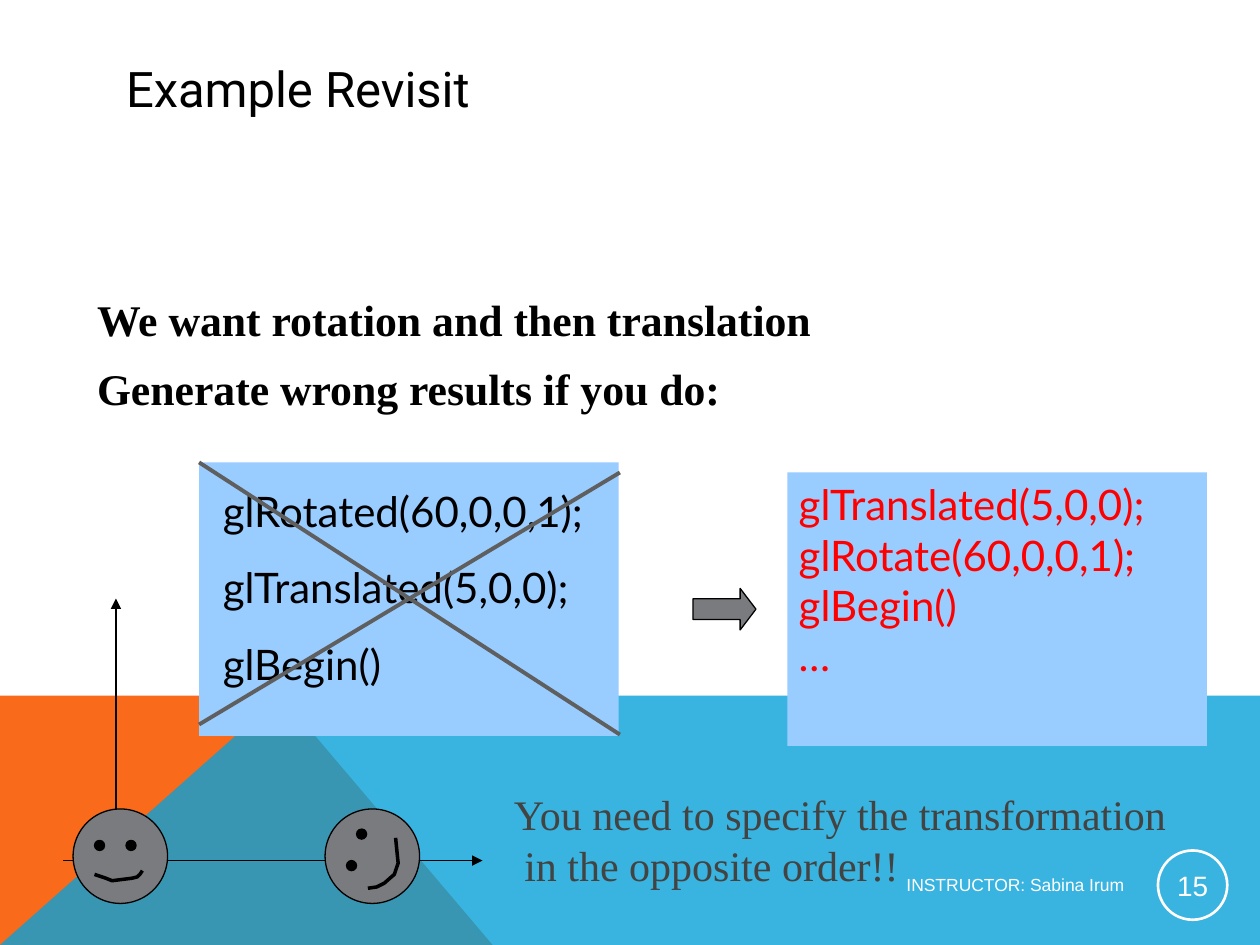
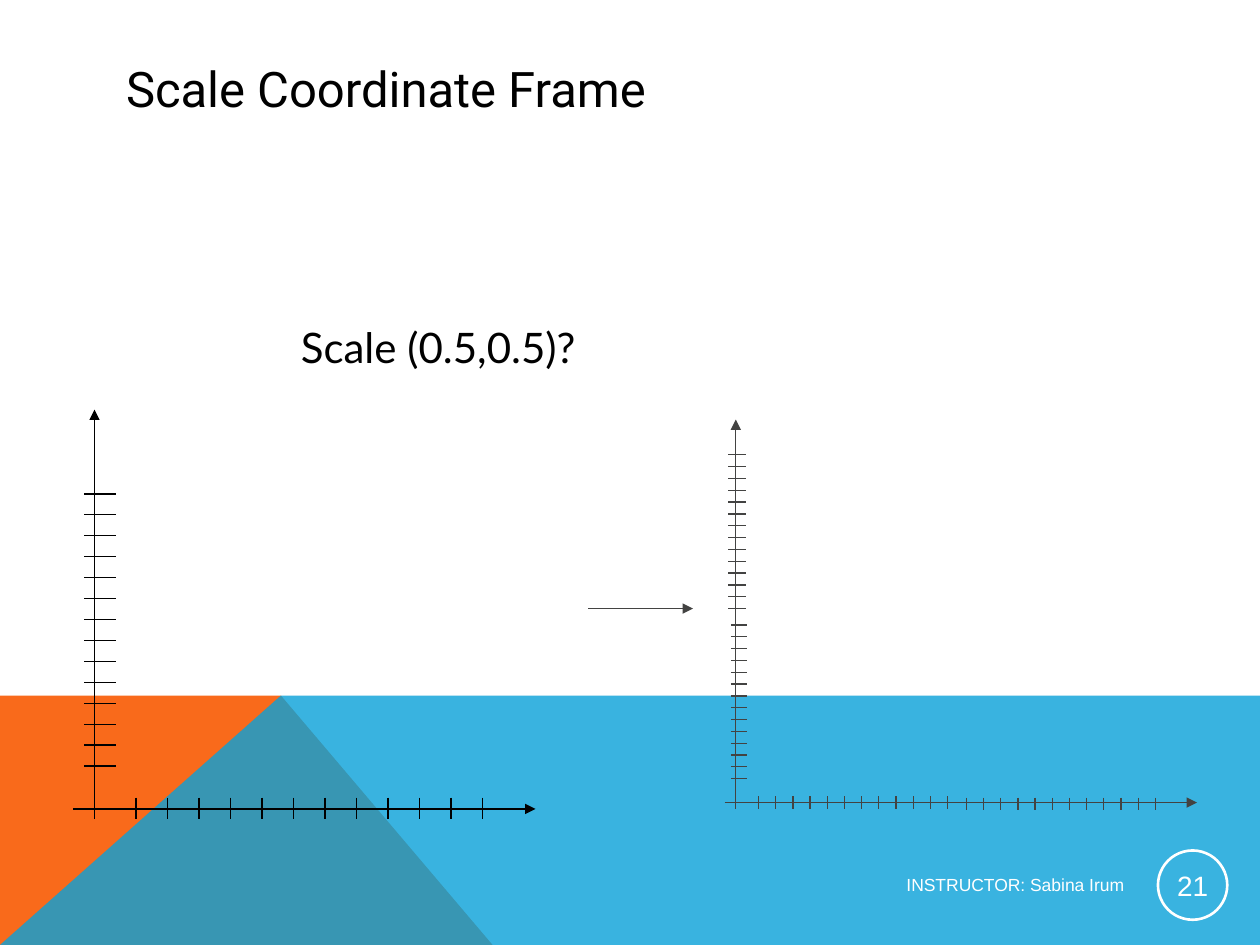
from dataclasses import dataclass
from typing import Any, NamedTuple

from pptx import Presentation
from pptx.dml.color import RGBColor
from pptx.enum.shapes import MSO_CONNECTOR, MSO_SHAPE
from pptx.enum.text import MSO_ANCHOR, MSO_AUTO_SIZE, PP_ALIGN
from pptx.oxml.ns import qn
from pptx.util import Inches, Pt

OVAL, RECT, ARROW = MSO_SHAPE.OVAL, MSO_SHAPE.RECTANGLE, MSO_SHAPE.RIGHT_ARROW
STRAIGHT = MSO_CONNECTOR.STRAIGHT
TOP, MIDDLE = MSO_ANCHOR.TOP, MSO_ANCHOR.MIDDLE
LEFT, CENTER, RIGHT = PP_ALIGN.LEFT, PP_ALIGN.CENTER, PP_ALIGN.RIGHT
FIXED, GROW = MSO_AUTO_SIZE.NONE, MSO_AUTO_SIZE.SHAPE_TO_FIT_TEXT

Point = tuple[float, float]


@dataclass(frozen=True)
class Theme:
    black: str = "000000"
    white: str = "FFFFFF"
    orange: str = "F96A1B"
    blue: str = "08A1D9"
    pale: str = "99CCFF"
    gray: str = "797B7E"
    cross: str = "5F5F5F"
    dark: str = "434342"
    red: str = "FF0000"
    head: str = "Roboto"
    code: str = "Lato"
    serif: str = "Times New Roman"
    sans: str = "Arial"
    title: float = 28
    body: float = 25
    text: float = 24
    number: float = 16
    foot: float = 10
    thin: float = 0.75
    ring: float = 1.5
    smile: float = 2
    thick: float = 2.25


THEME = Theme()


class Box(NamedTuple):
    left: float
    top: float
    width: float
    height: float

    def emu(self) -> list[int]:
        return [Inches(side) for side in self]


class Style(NamedTuple):
    font: str
    size: float
    color: str
    bold: bool = False
    align: Any = LEFT
    before: float = 0
    line: float = 1


class Ticks(NamedTuple):
    """Evenly spaced marks from first to last, each spanning low to high."""
    count: int
    first: float
    last: float
    low: float
    high: float
    level: bool = False


class Frame(NamedTuple):
    color: str
    axes: list[tuple[Point, Point]]
    ticks: list[Ticks]


class Face(NamedTuple):
    left: float
    eyes: list[Point]
    mouth: list[Point]


TITLE = Style(THEME.head, THEME.title, THEME.black)
BODY = Style(THEME.serif, THEME.body, THEME.black, True, before=8, line=1.05)
CODE = Style(THEME.code, THEME.text, THEME.black)
WRONG = CODE._replace(before=15)
FIXED_CODE = CODE._replace(color=THEME.red)
NOTE = Style(THEME.serif, THEME.text, THEME.dark)
FOOT = Style(THEME.sans, THEME.foot, THEME.white, align=RIGHT)
NUMBER = Style(THEME.sans, THEME.number, THEME.white, align=CENTER)

FACES = [
    Face(0.58, [(0.75, 6.67), (1, 6.67)],
         [(0.75, 6.94), (0.84, 6.97), (0.89, 6.99), (1.05, 6.97),
          (1.09, 6.96), (1.11, 6.94), (1.13, 6.91)]),
    Face(2.58, [(2.75, 6.83), (2.83, 6.58)],
         [(3.14, 6.65), (3.15, 6.75), (3.16, 6.85), (3.13, 6.94),
          (3.05, 7.01), (2.99, 7.04), (2.92, 7.05)]),
]
FRAMES = [
    Frame(THEME.black,
          [((0.75, 6.5), (0.75, 3.25)), ((0.58, 6.42), (4.25, 6.42))],
          [Ticks(12, 1.08, 3.83, 6.33, 6.5),
           Ticks(14, 6.08, 3.92, 0.67, 0.92, True)]),
    Frame(THEME.dark,
          [((5.84, 6.42), (5.84, 3.33)), ((5.75, 6.37), (9.5, 6.37))],
          [Ticks(12, 6.02, 7.52, 6.32, 6.42),
           Ticks(12, 7.67, 9.17, 6.33, 6.43),
           Ticks(14, 6.18, 4.96, 5.8, 5.93, True),
           Ticks(14, 4.83, 3.61, 5.78, 5.92, True)]),
]


def assign(target: Any, **values: Any) -> None:
    for name, value in values.items():
        setattr(target, name, value)


def paint(shape: Any, fill: str | None, line: str | None,
          width: float = THEME.thin) -> None:
    shape.shadow.inherit = False
    if fill:
        shape.fill.solid()
        shape.fill.fore_color.rgb = RGBColor.from_string(fill)
    else:
        shape.fill.background()
    if line:
        shape.line.color.rgb = RGBColor.from_string(line)
        shape.line.width = Pt(width)
    else:
        shape.line.fill.background()


def write(shape: Any, lines: list[str], style: Style, inset: Point = (0.1, 0.05),
          **frame: Any) -> None:
    body = shape.text_frame
    across, down = map(Inches, inset)
    values = dict(margin_left=across, margin_right=across, margin_top=down,
                  margin_bottom=down, word_wrap=True, auto_size=FIXED,
                  vertical_anchor=TOP)
    assign(body, **(values | frame))
    for i, line in enumerate(lines):
        para = body.add_paragraph() if i else body.paragraphs[0]
        assign(para, alignment=style.align, space_before=Pt(style.before),
               line_spacing=style.line)
        run = para.add_run()
        run.text = line
        assign(run.font, name=style.font, size=Pt(style.size), bold=style.bold)
        run.font.color.rgb = RGBColor.from_string(style.color)


def label(slide: Any, box: Box, lines: list[str], style: Style,
          **frame: Any) -> Any:
    shape = slide.shapes.add_textbox(*box.emu())
    write(shape, lines, style, **frame)
    return shape


def preset(slide: Any, kind: Any, box: Box, fill: str | None,
           line: str | None = None, width: float = THEME.thin) -> Any:
    shape = slide.shapes.add_shape(kind, *box.emu())
    paint(shape, fill, line, width)
    return shape


def outline(slide: Any, points: list[Point], fill: str | None = None,
            line: str | None = None, width: float = THEME.thin) -> Any:
    """Draw a filled polygon, or an open stroke when there is no fill."""
    spots = [(Inches(x), Inches(y)) for x, y in points]
    pen = slide.shapes.build_freeform(*spots[0])
    pen.add_line_segments(spots[1:], close=bool(fill))
    shape = pen.convert_to_shape()
    paint(shape, fill, line, width)
    return shape


def stroke(slide: Any, start: Point, end: Point, color: str,
           width: float = THEME.thin, tip: bool = False) -> None:
    line = slide.shapes.add_connector(
        STRAIGHT, *[Inches(n) for n in (*start, *end)])
    line.line.color.rgb = RGBColor.from_string(color)
    line.line.width = Pt(width)
    props = line._element.spPr
    if tip:
        mark = props.find(qn("a:ln")).makeelement(
            qn("a:tailEnd"), {"type": "triangle"})
        props.find(qn("a:ln")).append(mark)
    props.append(props.makeelement(qn("a:effectLst"), {}))


def bands(slide: Any) -> None:
    outline(slide, [(0, 7.5), (0, 5.52), (2.23, 5.52), (3.91, 7.5)], THEME.orange)
    sea = outline(slide, [(0, 7.5), (2.23, 5.52), (10, 5.52), (10, 7.5)],
                  THEME.blue)
    color = sea._element.spPr.find(qn("a:solidFill"))[0]
    color.append(color.makeelement(qn("a:alpha"), {"val": "80000"}))


def start(deck: Any, layout: int, title: str, number: int) -> Any:
    """Add a slide with its bands, title and footer."""
    slide = deck.slides.add_slide(deck.slide_layouts[layout])
    bands(slide)
    head = slide.shapes.title
    place(head, Box(0.9, 0.4, 8.23, 0.6))
    write(head, [title], TITLE, vertical_anchor=MIDDLE)
    label(slide, Box(3.85, 6.87, 5.17, 0.3), ["INSTRUCTOR: Sabina Irum"], FOOT,
          vertical_anchor=MIDDLE)
    ring = preset(slide, OVAL, Box(9.19, 6.75, 0.55, 0.55), None,
                  THEME.white, THEME.ring)
    write(ring, [str(number)], NUMBER, (0.01, 0.01), vertical_anchor=MIDDLE)
    return slide


def place(shape: Any, box: Box) -> None:
    assign(shape, **dict(zip(box._fields, box.emu())))


def indent(shape: Any, margin: float, first: float, plain: bool = False) -> None:
    """Indent all paragraphs; plain also takes their bullets away."""
    for para in shape.text_frame.paragraphs:
        props = para._p.get_or_add_pPr()
        props.set("marL", str(Inches(margin)))
        props.set("indent", str(Inches(first)))
        if plain:
            props.append(props.makeelement(qn("a:buNone"), {}))


def smiley(slide: Any, face: Face) -> None:
    preset(slide, OVAL, Box(face.left, 6.42, 0.75, 0.75), THEME.gray, THEME.black)
    for x, y in face.eyes:
        preset(slide, OVAL, Box(x, y, 0.08, 0.08), THEME.black, THEME.black)
    outline(slide, face.mouth, line=THEME.black, width=THEME.smile)


def grid(slide: Any, frame: Frame) -> None:
    """Draw the axes of a frame and their tick marks."""
    for tail, tip in frame.axes:
        stroke(slide, tail, tip, frame.color, tip=True)
    for row in frame.ticks:
        step = (row.last - row.first) / (row.count - 1)
        for i in range(row.count):
            at = row.first + i * step
            ends = [(at, row.low), (at, row.high)]
            if row.level:
                ends = [(x, y) for y, x in ends]
            stroke(slide, *ends, frame.color)


def revisit(deck: Any) -> None:
    slide = start(deck, 1, "Example Revisit", 15)
    body = slide.placeholders[1]
    place(body, Box(0.67, 2.25, 8.5, 4.5))
    write(body, ["We want rotation and then translation",
                 "Generate wrong results if you do:"], BODY)
    indent(body, 0.38, -0.38, plain=True)

    stroke(slide, (0.5, 6.83), (3.83, 6.83), THEME.black, tip=True)
    stroke(slide, (0.92, 7.17), (0.92, 4.75), THEME.black, tip=True)
    for face in FACES:
        smiley(slide, face)

    preset(slide, RECT, Box(1.58, 3.67, 3.33, 2.17), THEME.pale)
    wrong = label(slide, Box(1.17, 3.8, 5, 1.72),
                  ["glRotated(60,0,0,1);", "glTranslated(5,0,0);", "glBegin()"],
                  WRONG, auto_size=GROW)
    indent(wrong, 0.5, 0)
    preset(slide, RECT, Box(6.25, 3.75, 3.33, 2.17), THEME.pale)
    label(slide, Box(6.24, 3.75, 3.28, 1.7),
          ["glTranslated(5,0,0);", "glRotate(60,0,0,1);", "glBegin()", "…"],
          FIXED_CODE, auto_size=GROW, word_wrap=False)
    arrow = preset(slide, ARROW, Box(5.5, 4.67, 0.5, 0.33), THEME.gray, THEME.black)
    arrow.adjustments[1] = 0.38
    for tail, tip in [((4.92, 3.75), (1.58, 5.75)), ((1.58, 3.67), (4.92, 5.83))]:
        stroke(slide, tail, tip, THEME.cross, THEME.thick)
    label(slide, Box(3.98, 6.21, 5.41, 0.9),
          ["You need to specify the transformation", " in the opposite order!!"],
          NOTE, auto_size=GROW, word_wrap=False)


def scale(deck: Any) -> None:
    slide = start(deck, 5, "Scale Coordinate Frame", 21)
    label(slide, Box(2.29, 2.5, 2.55, 0.5), ["Scale (0.5,0.5)?"], CODE,
          auto_size=GROW, word_wrap=False)
    for frame in FRAMES:
        grid(slide, frame)
    stroke(slide, (4.67, 4.83), (5.5, 4.83), THEME.dark, tip=True)


def main() -> None:
    deck = Presentation()
    assign(deck, slide_width=Inches(10), slide_height=Inches(7.5))
    revisit(deck)
    scale(deck)
    deck.save("out.pptx")


if __name__ == "__main__":
    main()
